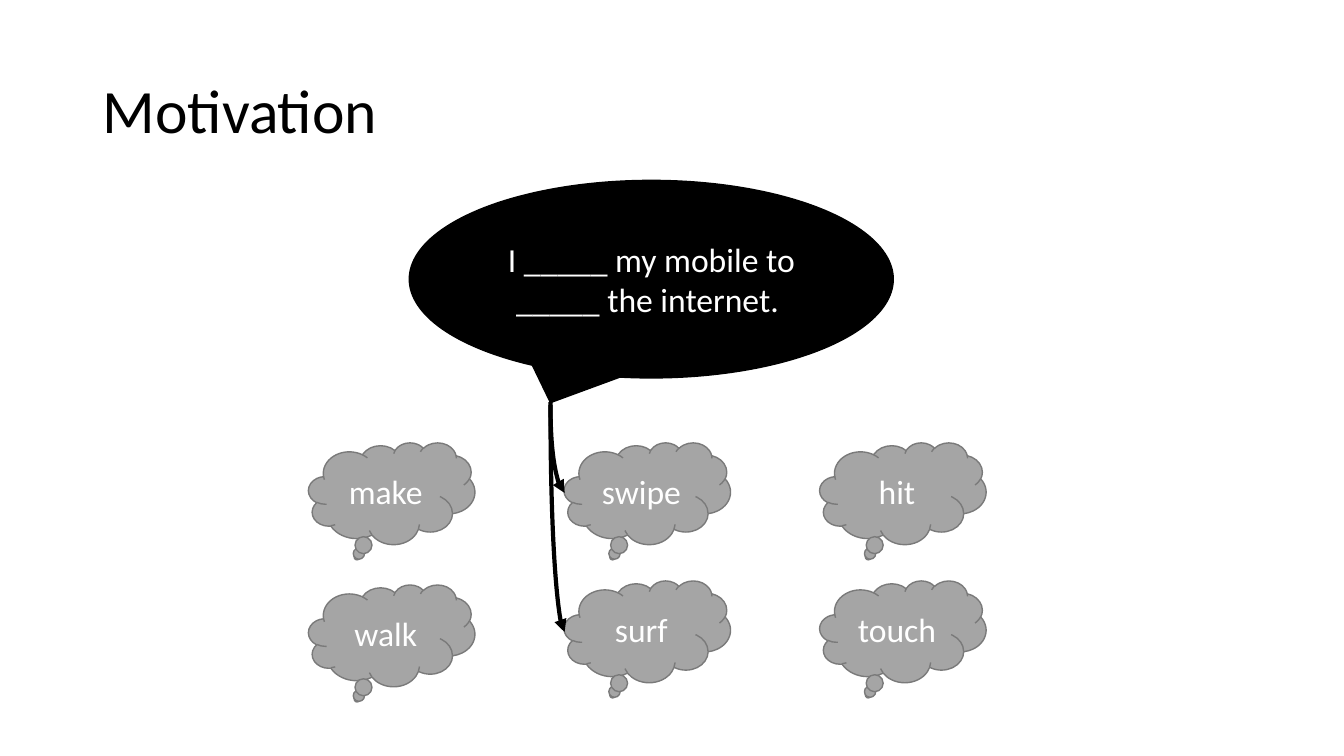
from dataclasses import dataclass

from lxml.etree import SubElement
from pptx import Presentation
from pptx.dml.color import RGBColor
from pptx.enum.shapes import MSO_CONNECTOR, MSO_SHAPE
from pptx.enum.text import MSO_ANCHOR, PP_ALIGN
from pptx.oxml.ns import qn
from pptx.util import Inches, Pt


@dataclass(frozen=True)
class Theme:
    font: str = "Calibri"
    ink: str = "000000"
    paper: str = "FFFFFF"
    cloud: str = "A5A5A5"
    cloud_edge: str = "7A7A7A"
    title_size: int = 44
    body_size: int = 24
    edge_width: int = 1
    arrow_width: int = 3


THEME = Theme()


def write_text(shape, text, *, size, color, align=PP_ALIGN.LEFT, spacing=1.0):
    frame = shape.text_frame
    frame.word_wrap = True
    frame.vertical_anchor = MSO_ANCHOR.MIDDLE
    paragraph = frame.paragraphs[0]
    paragraph.alignment = align
    paragraph.line_spacing = spacing
    run = paragraph.add_run()
    run.text = text
    run.font.name = THEME.font
    run.font.size = Pt(size)
    run.font.color.rgb = RGBColor.from_string(color)


def add_title(slide, box, text):
    title = slide.shapes.add_textbox(*map(Inches, box))
    write_text(title, text, size=THEME.title_size, color=THEME.ink, spacing=0.9)


def add_bubble(slide, box, preset, text, fill, edge):
    bubble = slide.shapes.add_shape(preset, *map(Inches, box))
    bubble.shadow.inherit = False
    bubble.fill.solid()
    bubble.fill.fore_color.rgb = RGBColor.from_string(fill)
    bubble.line.color.rgb = RGBColor.from_string(edge)
    bubble.line.width = Pt(THEME.edge_width)
    write_text(bubble, text, size=THEME.body_size, color=THEME.paper,
               align=PP_ALIGN.CENTER)


def add_word_clouds(slide, box, columns):
    left, top, width, height = box
    cloud_width, cloud_height = 1.65, 1.01
    column_step = (width - cloud_width) / (len(columns) - 1)
    row_step = height - cloud_height
    for column, (words, lower_shift) in enumerate(columns):
        for row, word in enumerate(words):
            cloud_box = (left + column * column_step,
                         top + row * (row_step + lower_shift),
                         cloud_width, cloud_height)
            add_bubble(slide, cloud_box, MSO_SHAPE.CLOUD_CALLOUT, word,
                       THEME.cloud, THEME.cloud_edge)


def add_curved_arrow(slide, box):
    left, top, width, height = box
    center_x, center_y = left + width / 2, top + height / 2
    arrow = slide.shapes.add_connector(
        MSO_CONNECTOR.CURVE,
        Inches(center_x + height / 2), Inches(center_y - width / 2),
        Inches(center_x - height / 2), Inches(center_y + width / 2))
    arrow.line.color.rgb = RGBColor.from_string(THEME.ink)
    arrow.line.width = Pt(THEME.arrow_width)
    properties = arrow.element.spPr
    properties.find(qn("a:xfrm")).set("rot", "16200000")
    properties.find(qn("a:prstGeom")).set("prst", "curvedConnector2")
    SubElement(properties.find(qn("a:ln")), qn("a:tailEnd"), type="triangle")
    SubElement(properties, qn("a:effectLst"))


def build_motivation(slide, box):
    left, top, width, height = box
    add_title(slide, (left + 0.92, top + 0.4, 11.5, 1.45), "Motivation")
    add_bubble(slide, (left + 4.06, top + 1.79, 4.8, 1.96),
               MSO_SHAPE.OVAL_CALLOUT,
               "I _____ my mobile to _____ the internet. ",
               THEME.ink, THEME.ink)
    add_word_clouds(slide, (left + 3.06, top + 4.39, 6.72, 2.38),
                    [(("make", "walk"), 0.04),
                     (("swipe", "surf"), 0),
                     (("hit", "touch"), 0)])
    for start, end in ((4.02, 6.27), (3.99, 4.89)):
        add_curved_arrow(slide, (left + 5.46, top + start, 0.14, end - start))


def main():
    presentation = Presentation()
    presentation.slide_width = Inches(13.33)
    presentation.slide_height = Inches(7.5)
    slide = presentation.slides.add_slide(presentation.slide_layouts[6])
    build_motivation(slide, (0, 0, 13.33, 7.5))
    presentation.save("out.pptx")


if __name__ == "__main__":
    main()
